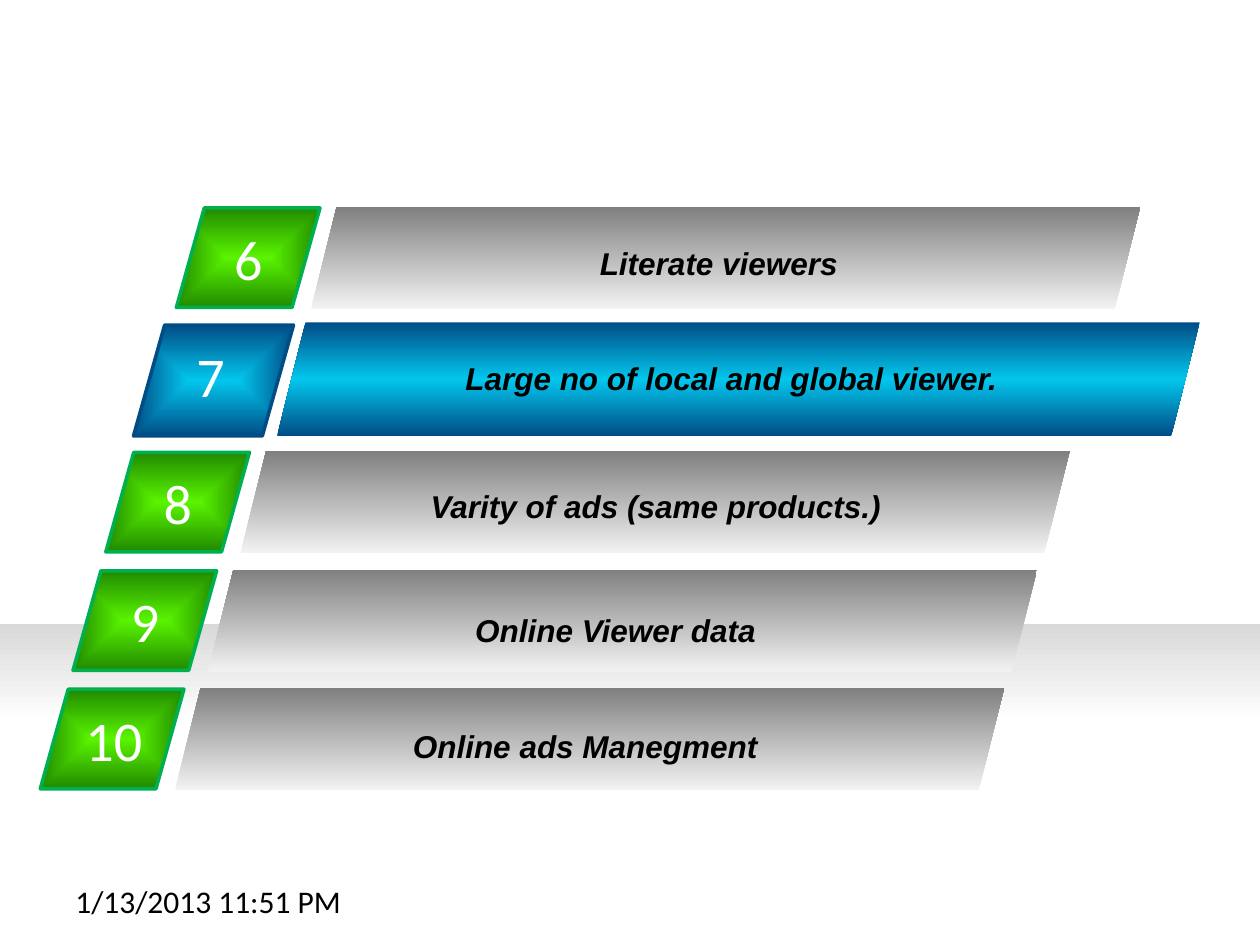
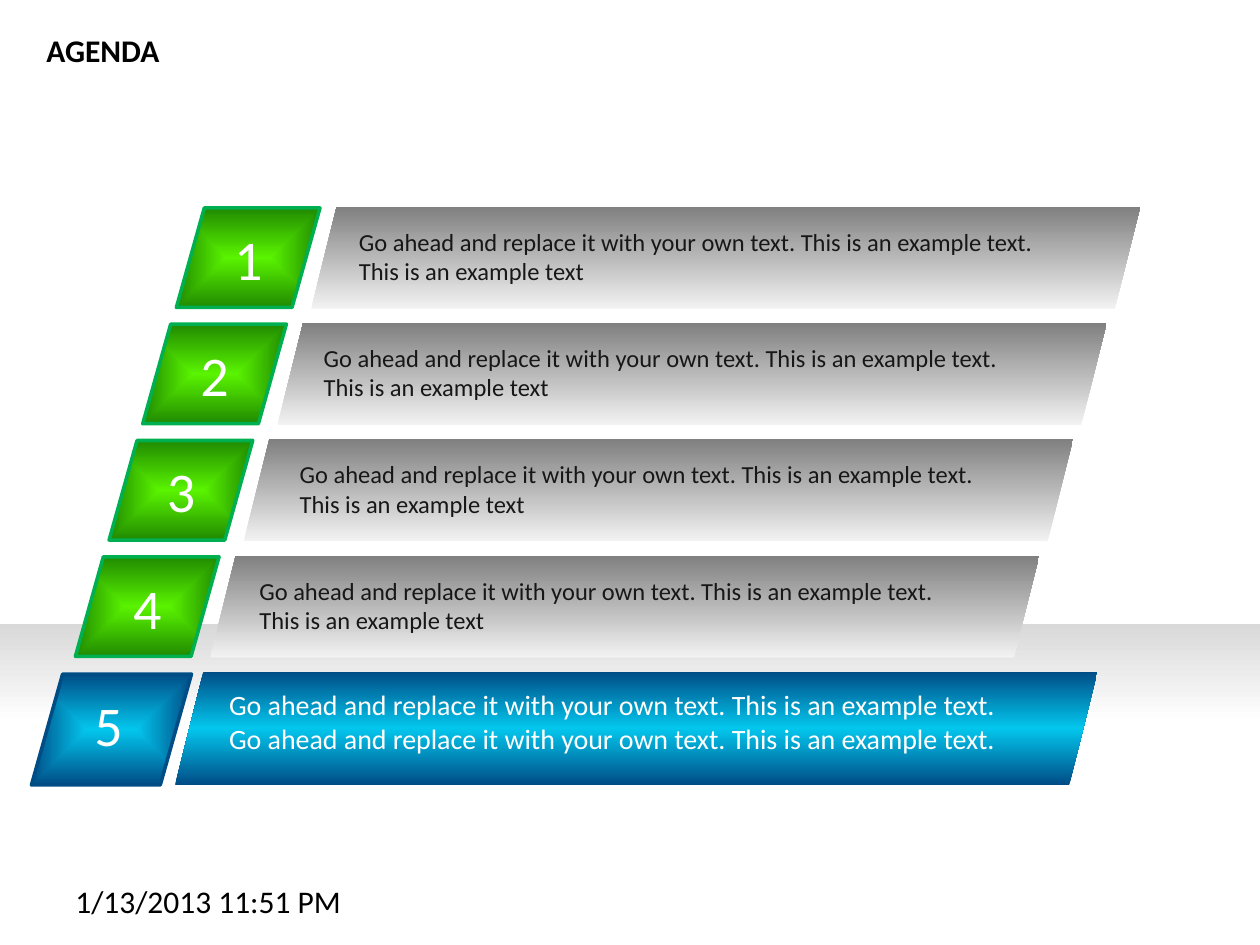
from pptx import Presentation
from pptx.dml.color import RGBColor as RGB
from pptx.enum.shapes import MSO_SHAPE as SHAPE
from pptx.enum.text import PP_ALIGN as ALIGN
from pptx.oxml import parse_xml
from pptx.oxml.ns import nsdecls
from pptx.util import Inches, Pt

WHITE = RGB(0xFF, 0xFF, 0xFF)
BLACK = RGB(0x00, 0x00, 0x00)
INK = RGB(0x17, 0x17, 0x17)
SILVER = RGB(0xD9, 0xD9, 0xD9)
PALE = RGB(0xF2, 0xF2, 0xF2)
GREY = RGB(0x80, 0x80, 0x80)
LIME = RGB(0x5A, 0xF3, 0x00)
LEAF = RGB(0x20, 0x8A, 0x00)
GREEN = RGB(0x00, 0xB0, 0x50)
CYAN = RGB(0x03, 0xC6, 0xED)
NAVY = RGB(0x00, 0x4D, 0x86)

prs = Presentation()
prs.slide_width, prs.slide_height = Inches(10), Inches(7.5)
COL = prs.slide_width / 10
ROW = prs.slide_height / 7.5


def add_gradient(s, kind, box, stops, line=None, centred=False):
    x, y, w, h = box
    sp = s.shapes.add_shape(kind, int(x * COL), int(y * ROW), int(w * COL), int(h * ROW))
    sp.shadow.inherit = False
    if line is None:
        sp.line.fill.background()
    else:
        sp.line.color.rgb = line
        sp.line.width = Pt(2)
    gs = "".join(f'<a:gs pos="{at * 1000}"><a:srgbClr val="{color}"/></a:gs>' for at, color in stops)
    course = '<a:lin ang="16200000" scaled="0"/>'
    if centred:
        course = '<a:path path="shape"><a:fillToRect l="50000" t="50000" r="50000" b="50000"/></a:path>'
    grad = parse_xml(f'<a:gradFill {nsdecls("a")} rotWithShape="1"><a:gsLst>{gs}</a:gsLst>{course}</a:gradFill>')
    sp.fill.background()
    sp_pr = sp._element.spPr
    sp_pr.replace(sp_pr.find("{*}noFill"), grad)
    return sp


def add_text(s, box, text, size, color, font="Calibri", bold=False, italic=False, align=ALIGN.LEFT):
    x, y, w, h = box
    tf = s.shapes.add_textbox(int(x * COL), int(y * ROW), int(w * COL), int(h * ROW)).text_frame
    tf.word_wrap = True
    tf.text = text
    for p in tf.paragraphs:
        p.alignment = align
        for r in p.runs:
            r.font.name, r.font.size = font, Pt(size)
            r.font.bold, r.font.italic = bold, italic
            r.font.color.rgb = color


EXAMPLE = "Go ahead and replace it with your own text. This is an example text."
LONG = EXAMPLE + " This is an example text"
TOPIC = dict(size=18, color=BLACK, font="Arial", bold=True, italic=True, align=ALIGN.CENTER)
BODY = dict(size=14, color=INK)
LEAD = dict(size=16, color=WHITE)

PLAIN = dict(badge=(1.14, 0.79), bar=(1.07, -0.01, 6.58, 0.81), number=(0.36, 0.08, 0.43, 0.64),
             label_width=5.91, line=GREEN, badge_stops=[(0, LIME), (100, LEAF)],
             bar_stops=[(0, PALE), (100, GREY)])
ACTIVE = dict(badge=(1.27, 0.88), bar=(1.14, -0.02, 7.32, 0.9), number=(0.4, 0.08, 0.48, 0.63),
              label_width=6.57, line=NAVY, badge_stops=[(0, CYAN), (100, NAVY)],
              bar_stops=[(0, NAVY), (50, CYAN), (100, NAVY)])

topics = [
    ("6", PLAIN, 1.4, 1.65, "Literate viewers", 2.75, 1.89, TOPIC),
    ("7", ACTIVE, 1.06, 2.58, "Large no of local and global viewer.", 2.52, 2.8, TOPIC),
    ("8", PLAIN, 0.84, 3.59, "Varity of ads (same products.)", 2.25, 3.82, TOPIC),
    ("9", PLAIN, 0.58, 4.53, "Online Viewer data", 1.93, 4.8, TOPIC),
    ("10", PLAIN, 0.32, 5.47, "Online ads Manegment", 1.69, 5.72, TOPIC),
]
agenda = [
    (str(i + 1), PLAIN, 1.4 - 0.267 * i, 1.65 + 0.923 * i, LONG, label_x, 1.75 + 0.923 * i, BODY)
    for i, label_x in enumerate((2.75, 2.47, 2.28, 1.96))
]
agenda.append(("5", ACTIVE, 0.25, 5.35, f"{EXAMPLE}\n{EXAMPLE}", 1.72, 5.41, LEAD))

blank = prs.slide_layouts[6]
for title, rows in (None, topics), ("AGENDA", agenda):
    s = prs.slides.add_slide(blank)
    for number, style, x, y, label, label_x, label_y, font in rows:
        badge = add_gradient(s, SHAPE.PARALLELOGRAM, (x, y, *style["badge"]),
                             style["badge_stops"], style["line"], centred=True)
        badge.adjustments[0] = 0.281
        dx, dy, w, h = style["number"]
        if len(number) > 1:
            dx, w = 0.26, 0.79
        add_text(s, (x + dx, y + dy, w, h), number, 32, WHITE)
        dx, dy, w, h = style["bar"]
        add_gradient(s, SHAPE.PARALLELOGRAM, (x + dx, y + dy, w, h), style["bar_stops"])
        add_text(s, (label_x, label_y, style["label_width"], 0.4), label, **font)
    if title:
        add_text(s, (0.27, 0.2, 1.24, 0.4), title, 18, BLACK, bold=True)
    add_text(s, (0.5, 6.95, 2.33, 0.4), "1/13/2013 11:51 PM", 18, BLACK)

floor = add_gradient(s, SHAPE.RECTANGLE, (0, 4.95, 10, 2.02), [(61, WHITE), (100, SILVER)])
prs.slide_master.element.cSld.spTree.append(floor._element)

prs.save("out.pptx")
